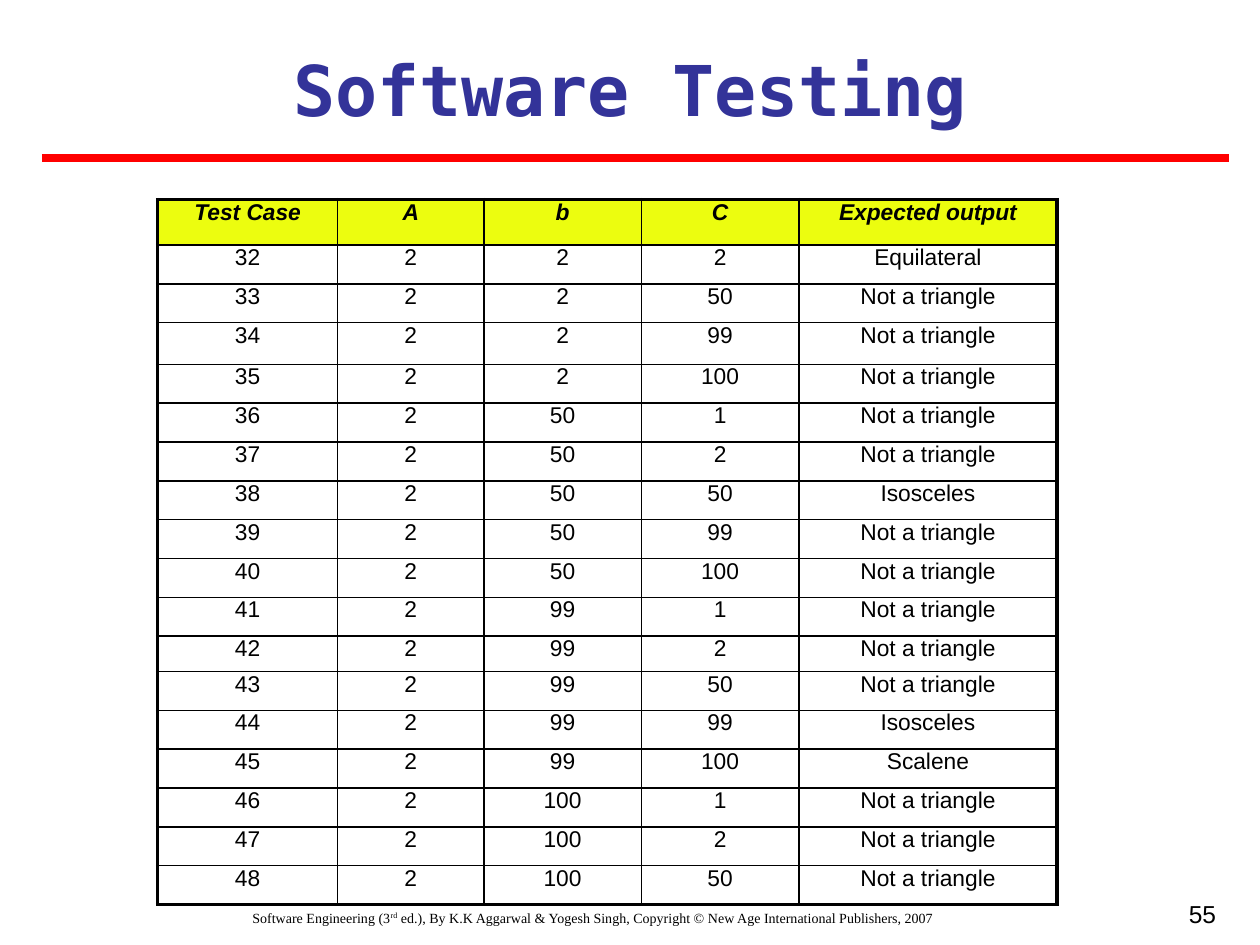
"""Build the slide listing software test cases 32 to 48 of the triangle problem."""
from itertools import product

from lxml.etree import SubElement
from pptx import Presentation
from pptx.dml.color import RGBColor
from pptx.enum.shapes import MSO_CONNECTOR
from pptx.enum.text import MSO_ANCHOR, PP_ALIGN as ALIGN
from pptx.oxml.ns import qn
from pptx.util import Pt


def style(paragraph, font_name, size, color="000000", align=ALIGN.CENTER, bold=False, italic=False):
    paragraph.alignment = align
    paragraph.space_before = Pt(0)
    font = paragraph.font
    font.name, font.size, font.bold, font.italic = font_name, Pt(size), bold, italic
    font.color.rgb = RGBColor.from_string(color)


def add_border(cell, side, width):
    line = SubElement(cell._tc.get_or_add_tcPr(), qn(f"a:ln{side}"), w=str(Pt(width)))
    fill = SubElement(line, qn("a:solidFill"))
    SubElement(fill, qn("a:srgbClr"), val="000000")


presentation = Presentation()
presentation.slide_width, presentation.slide_height = Pt(720), Pt(540)
slide = presentation.slides.add_slide(presentation.slide_layouts[5])
shapes = slide.shapes

title = shapes.title
title.left, title.top, title.width, title.height = Pt(24), Pt(23), Pt(672), Pt(55.5)
title.text_frame.text = "Software Testing"
title.text_frame.vertical_anchor = MSO_ANCHOR.MIDDLE
style(title.text_frame.paragraphs[0], "DejaVu Sans Mono", 40, "333399", bold=True)

rule = shapes.add_connector(MSO_CONNECTOR.STRAIGHT, Pt(24), Pt(90.5), Pt(702), Pt(90.5))
rule.line.color.rgb = RGBColor.from_string("FF0000")
rule.line.width = Pt(4.5)
SubElement(rule._element.spPr, qn("a:effectLst"))

header = ["Test Case", "A", "b", "C", "Expected output"]
first_case = 32
outputs = {32: "Equilateral", 38: "Isosceles", 44: "Isosceles", 45: "Scalene"}
sides = list(product([2, 50, 99, 100], [1, 2, 50, 99, 100]))[1:18]
rows = [header] + [
    [case, 2, b, c, outputs.get(case, "Not a triangle")]
    for case, (b, c) in enumerate(sides, first_case)
]
column_widths = [103, 83.5, 90, 90, 147.5]
row_heights = {0: 26, 3: 23.8, 11: 20.2}
last_row, last_column = len(rows) - 1, len(header) - 1

table = shapes.add_table(len(rows), len(header), Pt(90), Pt(114), Pt(514), Pt(403)).table
table.first_row = table.horz_banding = False
for column, width in zip(table.columns, column_widths):
    column.width = Pt(width)
for row_index, values in enumerate(rows):
    table.rows[row_index].height = Pt(row_heights.get(row_index, 22.2))
    is_header = row_index == 0
    for column_index, value in enumerate(values):
        cell = table.cell(row_index, column_index)
        cell.text = str(value)
        cell.margin_top = cell.margin_bottom = 0
        style(cell.text_frame.paragraphs[0], "Arial", 13, bold=is_header, italic=is_header)
        outer_sides = {
            "L": column_index == 0,
            "R": column_index == last_column,
            "T": is_header,
            "B": row_index == last_row,
        }
        for side, is_outer in outer_sides.items():
            add_border(cell, side, 2.25 if is_outer else 1)
        if is_header:
            cell.fill.solid()
            cell.fill.fore_color.rgb = RGBColor.from_string("ECFD0F")
        else:
            cell.fill.background()

footer = shapes.add_textbox(Pt(18), Pt(516), Pt(642), Pt(24))
footer.text_frame.word_wrap = True
paragraph = footer.text_frame.paragraphs[0]
paragraph.add_run().text = "Software Engineering (3"
ordinal = paragraph.add_run()
ordinal.text = "rd"
ordinal._r.get_or_add_rPr().set("baseline", "30000")
paragraph.add_run().text = (
    " ed.), By K.K Aggarwal & Yogesh Singh, Copyright © New Age International Publishers, 2007"
)
style(paragraph, "Times New Roman", 8)

page_number = shapes.add_textbox(Pt(534), Pt(510), Pt(168), Pt(42))
page_number.text_frame.word_wrap = True
page_number.text_frame.text = "55"
style(page_number.text_frame.paragraphs[0], "Arial", 14, align=ALIGN.RIGHT)

presentation.save("out.pptx")
